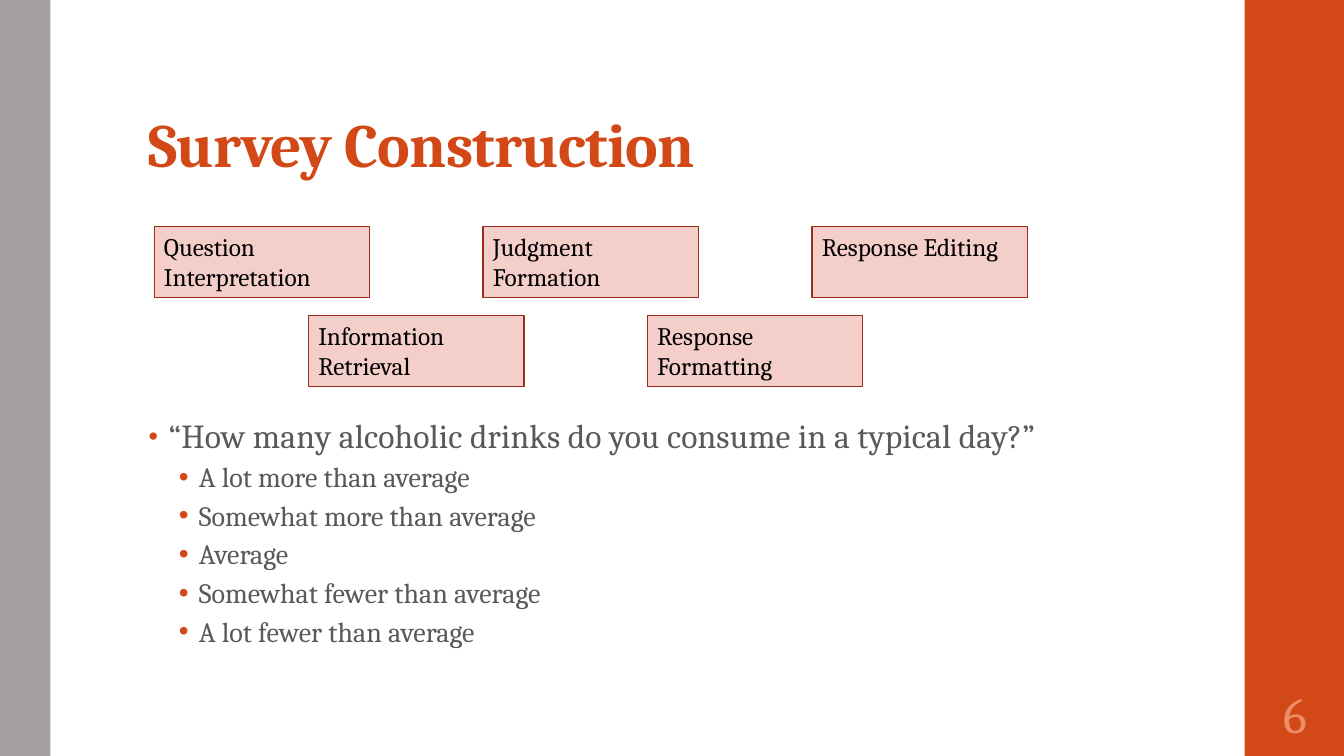
from pptx import Presentation
from pptx.dml.color import RGBColor
from pptx.enum.shapes import MSO_SHAPE
from pptx.enum.text import MSO_ANCHOR, PP_ALIGN
from pptx.oxml.ns import qn
from pptx.util import Pt
from lxml.etree import SubElement

COLORS = {
    "accent": "D34817",
    "side": "A6A1A1",
    "step_fill": "F4CEC9",
    "step_line": "9B2D1F",
    "body": "595959",
    "number": "EF8C6A",
    "black": "000000",
}
FONT = "Cambria"


def color(name):
    return RGBColor.from_string(COLORS[name])


def write(paragraph, text, size=18, ink="black", bold=False, align=PP_ALIGN.LEFT,
          tracking=0, line=1.0, before=0, after=0):
    paragraph.alignment = align
    paragraph.line_spacing = line
    paragraph.space_before, paragraph.space_after = Pt(before), Pt(after)
    run = paragraph.add_run()
    run.text = text
    run.font.name, run.font.size, run.font.bold = FONT, Pt(size), bold
    run.font.color.rgb = color(ink)
    if tracking:
        run.font._element.set("spc", str(tracking))


class SlideBuilder:
    def __init__(self, slide):
        self.slide = slide

    def box(self, left, top, width, height, fill, line=None):
        shape = self.slide.shapes.add_shape(
            MSO_SHAPE.RECTANGLE, Pt(left), Pt(top), Pt(width), Pt(height))
        shape.shadow.inherit = False
        shape.fill.solid()
        shape.fill.fore_color.rgb = color(fill)
        if line:
            shape.line.color.rgb = color(line)
            shape.line.width = Pt(0.75)
        else:
            shape.line.fill.background()
        return shape

    def step(self, left, top, text):
        frame = self.box(left, top, 154, 51, "step_fill", "step_line").text_frame
        frame.word_wrap = True
        frame.vertical_anchor = MSO_ANCHOR.TOP
        write(frame.paragraphs[0], text)

    def text(self, left, top, width, height, anchor=MSO_ANCHOR.TOP,
             insets=(7.2, 3.6, 7.2, 3.6)):
        frame = self.slide.shapes.add_textbox(
            Pt(left), Pt(top), Pt(width), Pt(height)).text_frame
        frame.word_wrap = True
        frame.vertical_anchor = anchor
        (frame.margin_left, frame.margin_top,
         frame.margin_right, frame.margin_bottom) = map(Pt, insets)
        return frame

    def bullet(self, paragraph, text, indent, level=0, scale=100, **style):
        write(paragraph, text, ink="body", **style)
        paragraph.level = level
        properties = paragraph._p.get_or_add_pPr()
        properties.set("marL", str(Pt(indent)))
        properties.set("indent", str(Pt(-14.4)))
        tint = SubElement(properties, qn("a:buClr"))
        SubElement(tint, qn("a:srgbClr"), val=COLORS["accent"])
        SubElement(properties, qn("a:buSzPct"), val=str(scale * 1000))
        SubElement(properties, qn("a:buFont"), typeface="Arial")
        SubElement(properties, qn("a:buChar"), char="•")


deck = Presentation()
deck.slide_width, deck.slide_height = Pt(960), Pt(540)
builder = SlideBuilder(deck.slides.add_slide(deck.slide_layouts[6]))

builder.box(889, 0, 71, 540, "accent")
builder.box(0, 0, 36, 540, "side")

title = builder.text(99, 23, 763, 110, MSO_ANCHOR.BOTTOM, (7.2, 2.2, 7.2, 3.6))
write(title.paragraphs[0], "Survey Construction", size=44, ink="accent",
      bold=True, tracking=-50, line=0.9)

question = builder.text(99, 295, 677, 215)
builder.bullet(question.paragraphs[0],
               "“How many alcoholic drinks do you consume in a typical day?”",
               14.4, scale=80, size=24, tracking=10, line=0.95, before=14, after=2)
for answer in ("A lot more than average", "Somewhat more than average", "Average",
               "Somewhat fewer than average", "A lot fewer than average"):
    builder.bullet(question.add_paragraph(), answer, 36, level=1,
                   size=20, line=0.9, before=3, after=3)

number = builder.text(889, 486, 72, 47, MSO_ANCHOR.MIDDLE, (3.6,) * 4)
write(number.paragraphs[0], "6", size=36, ink="number", align=PP_ALIGN.CENTER)

step_rows = (
    (110, 161.5, 235, ("Question Interpretation", "Judgment Formation", "Response Editing")),
    (220.3, 225.4, 242, ("Information Retrieval", "Response Formatting")),
)
for start, top, pitch, steps in step_rows:
    for column, step in enumerate(steps):
        builder.step(start + column * pitch, top, step)

deck.save("out.pptx")
